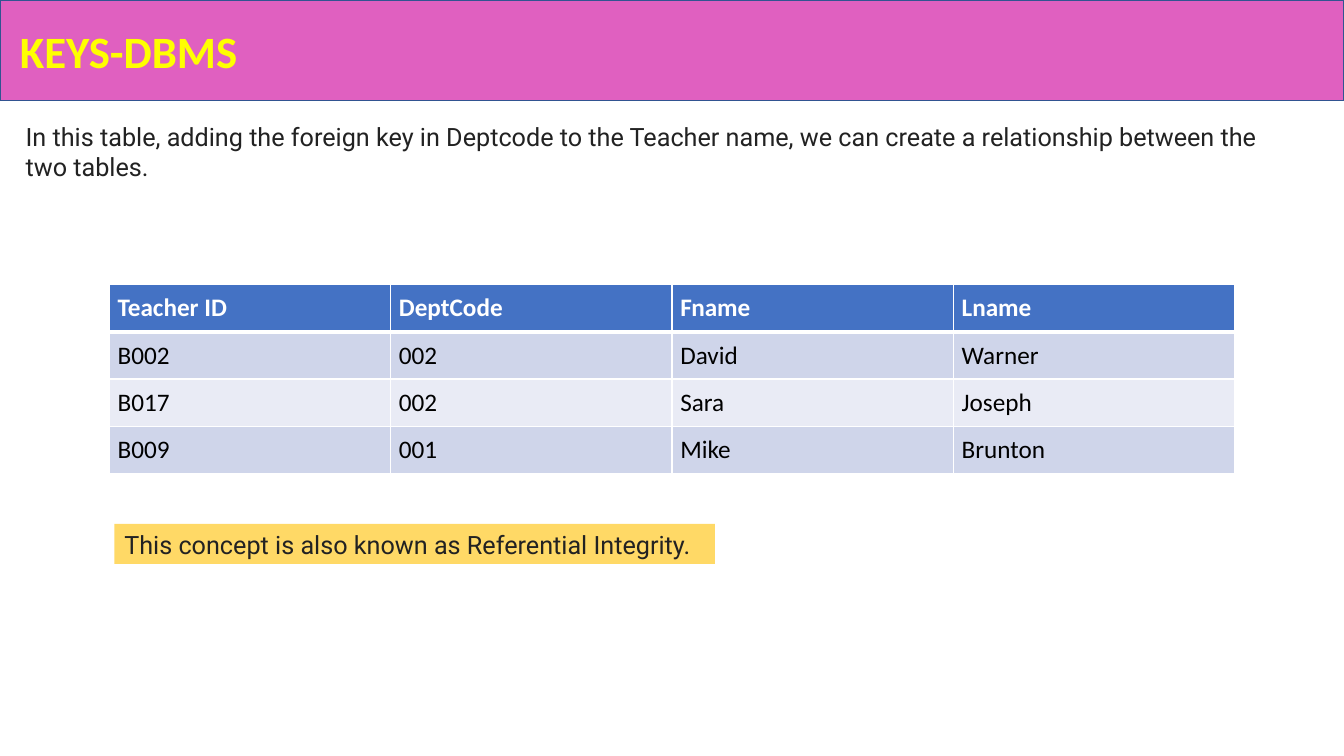
from lxml import etree
from pptx import Presentation
from pptx.dml.color import RGBColor
from pptx.enum.shapes import MSO_SHAPE
from pptx.enum.text import MSO_ANCHOR, MSO_AUTO_SIZE, PP_ALIGN
from pptx.oxml.ns import qn
from pptx.util import Pt

RECTANGLE = MSO_SHAPE.RECTANGLE
MIDDLE = MSO_ANCHOR.MIDDLE
LEFT = PP_ALIGN.LEFT
NO_AUTOFIT = MSO_AUTO_SIZE.NONE
TITLE_ONLY = 5

EMU_PER_PX = 9525
COLORS = {
    "banner": "E060C0",
    "banner_edge": "325491",
    "title": "FFFF00",
    "body": "222222",
    "highlight": "FFD966",
    "header": "4472C4",
    "header_text": "FFFFFF",
    "cell_text": "000000",
    "odd_row": "CFD5EA",
    "even_row": "E9EBF5",
    "grid": "FFFFFF",
}

TEACHERS = [
    ("Teacher ID", "DeptCode", "Fname", "Lname"),
    ("B002", "002", "David", "Warner"),
    ("B017", "002", "Sara", "Joseph"),
    ("B009", "001", "Mike", "Brunton"),
]
COLUMN_WIDTH = 268
ROW_HEIGHT = 45


def px(length):
    return length * EMU_PER_PX


def box(left, top, width, height):
    return px(left), px(top), px(width), px(height)


def color(name):
    return RGBColor.from_string(COLORS[name])


def paint(target, name):
    target.fill.solid()
    target.fill.fore_color.rgb = color(name)


def write(frame, text, font_name, size, color_name, bold=False):
    frame.text = text
    paragraph = frame.paragraphs[0]
    paragraph.alignment = LEFT
    font = paragraph.font
    font.name = font_name
    font.size = Pt(size)
    font.bold = bold
    font.color.rgb = color(color_name)


def add_banner_title(slide, text):
    banner = slide.shapes.title
    banner.left, banner.top, banner.width, banner.height = box(0, 0, 1280, 96)
    paint(banner, "banner")
    banner.line.color.rgb = color("banner_edge")
    banner.line.width = Pt(1)
    frame = banner.text_frame
    frame.auto_size = NO_AUTOFIT
    frame.vertical_anchor = MIDDLE
    frame.margin_left = px(19)
    write(frame, text, "Calibri", 32, "title", bold=True)


def add_explanation(slide, text, bounds):
    frame = slide.shapes.add_textbox(*bounds).text_frame
    frame.word_wrap = True
    write(frame, text, "Roboto", 18, "body")


def add_highlighted_note(slide, text, bounds):
    note = slide.shapes.add_shape(RECTANGLE, *bounds)
    note.shadow.inherit = False
    paint(note, "highlight")
    note.line.fill.background()
    note.text_frame.word_wrap = True
    write(note.text_frame, text, "Roboto", 18, "body")


def add_border(cell, side, points):
    properties = cell._tc.get_or_add_tcPr()
    line = etree.SubElement(properties, qn(f"a:ln{side}"), w=str(Pt(points)))
    fill = etree.SubElement(line, qn("a:solidFill"))
    etree.SubElement(fill, qn("a:srgbClr"), val=COLORS["grid"])


def format_cell(cell, text, row):
    is_header = row == 0
    top_width = 3 if row == 1 else 1
    bottom_width = 3 if is_header else 1
    for side, points in zip("LRTB", (1, 1, top_width, bottom_width)):
        add_border(cell, side, points)
    cell.margin_left = cell.margin_right = px(8)
    cell.margin_top = cell.margin_bottom = px(7)
    cell.vertical_anchor = MIDDLE
    if is_header:
        paint(cell, "header")
    else:
        paint(cell, "odd_row" if row % 2 else "even_row")
    write(cell.text_frame, text, "Calibri", 18,
          "header_text" if is_header else "cell_text", bold=is_header)


def add_teacher_table(slide, left, top):
    row_count, column_count = len(TEACHERS), len(TEACHERS[0])
    bounds = box(left, top, column_count * COLUMN_WIDTH, row_count * ROW_HEIGHT)
    table = slide.shapes.add_table(row_count, column_count, *bounds).table
    table.horz_banding = False
    for row, record in enumerate(TEACHERS):
        for column, value in enumerate(record):
            format_cell(table.cell(row, column), value, row)


def main():
    presentation = Presentation()
    presentation.slide_width = px(1280)
    presentation.slide_height = px(720)
    slide = presentation.slides.add_slide(presentation.slide_layouts[TITLE_ONLY])

    add_banner_title(slide, "KEYS-DBMS")
    add_explanation(
        slide,
        "In this table, adding the foreign key in Deptcode to the Teacher name, "
        "we can create a relationship between the two tables.",
        box(15, 111, 1214, 68),
    )
    add_teacher_table(slide, 104, 271)
    add_highlighted_note(
        slide,
        "This concept is also known as Referential Integrity.",
        box(109, 499, 572, 38),
    )
    presentation.save("out.pptx")


if __name__ == "__main__":
    main()
